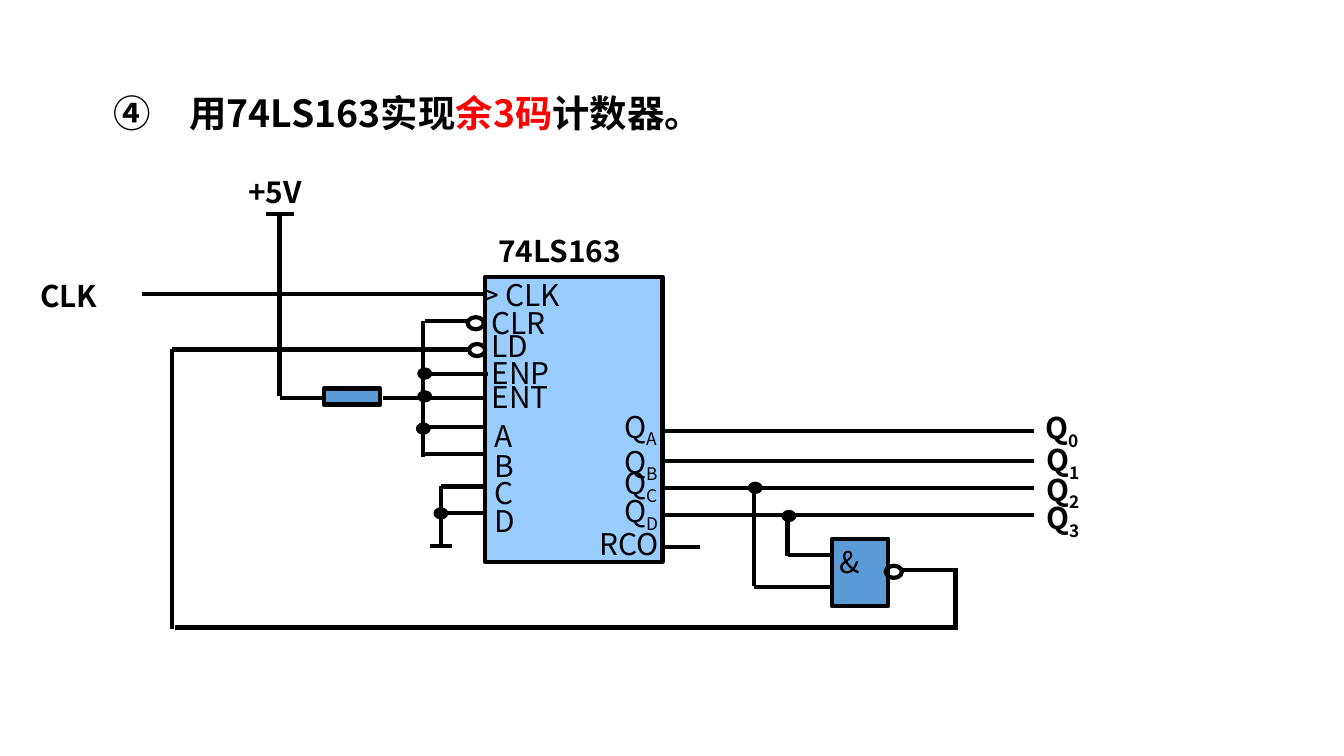
from lxml import etree
from pptx import Presentation
from pptx.dml.color import RGBColor
from pptx.enum.shapes import MSO_CONNECTOR, MSO_SHAPE
from pptx.oxml.ns import qn
from pptx.util import Pt

PX = 9144  # 100 px to the inch
SLIDE_WIDTH = 1000
RECT, OVAL = MSO_SHAPE.RECTANGLE, MSO_SHAPE.OVAL
STRAIGHT = MSO_CONNECTOR.STRAIGHT
COLORS = {"ink": "000000", "accent": "FF0000", "chip": "99CCFF", "part": "5B9BD5"}
TITLE_FONT, LABEL_FONT = "Noto Sans CJK JP", "Noto Sans CJK SC"
LINE_WIDTH = 2.25

TITLE = [("用74LS163实现", "ink"), ("余3码", "accent"), ("计数器。", "ink")]

# left, top, width, height, fill
BLOCKS = {
    "chip": (361, 206, 132, 212, "chip"),
    "resistor": (241, 289, 42, 12, "part"),
    "nand gate": (619, 401, 42, 50, "part"),
}
BUBBLES = [(348, 236), (349, 256), (659, 421)]
BUBBLE_SIZE = (12, 9)
DOTS = [(312, 292), (312, 275), (311, 316), (324, 379), (558, 360), (583, 381)]
DOT_SIZE = (8, 6)

# left, top, text, subscript
PIN_LABELS = [
    (349, 201, "> CLK", ""), (356, 222, "CLR", ""), (356, 239, "LD", ""),
    (356, 259, "ENP", ""), (356, 277, "ENT", ""),
    (358, 306, "A", ""), (358, 328, "B", ""), (358, 348, "C", ""), (358, 369, "D", ""),
    (455, 299, "Q", "A"), (455, 325, "Q", "B"), (455, 341, "Q", "C"), (455, 362, "Q", "D"),
    (436, 386, "RCO", ""), (615, 400, "&", ""),
]
SIGNAL_LABELS = [
    (361, 168, "74LS163", ""), (20, 202, "CLK", ""), (175, 124, "+5V", ""),
    (768, 300, "Q", "0"), (769, 324, "Q", "1"), (769, 346, "Q", "2"), (769, 367, "Q", "3"),
]

# y, left, right
HORIZONTAL_WIRES = {
    "clock": [(219, 106, 360)],
    "supply": [(159, 198, 219), (296, 208, 241), (296, 285, 362)],
    "pulled high": [(239, 316, 350), (278, 313, 363), (318, 316, 362), (338, 315, 360)],
    "ground": [(362, 328, 362), (382, 328, 362), (406, 320, 336)],
    "outputs": [(y, 495, 769) for y in (321, 343, 363, 383)] + [(407, 495, 521)],
    "gate": [(413, 586, 619), (437, 561, 619), (424, 671, 713)],
    "load feedback": [(467, 130, 713), (260, 128, 349)],
}
# x, top, bottom
VERTICAL_WIRES = [
    (208, 158, 295), (315, 239, 340), (328, 362, 406),
    (586, 383, 414), (561, 363, 436), (711, 424, 468), (128, 260, 468),
]


def rgb(name):
    return RGBColor.from_string(COLORS[name])


def add_outlined(shape_type, left, top, width, height, fill=None):
    shape = page.shapes.add_shape(shape_type, left * PX, top * PX, width * PX, height * PX)
    shape.shadow.inherit = False
    if fill:
        shape.fill.solid()
        shape.fill.fore_color.rgb = rgb(fill)
    else:
        shape.fill.background()
    shape.line.color.rgb = rgb("ink")
    shape.line.width = Pt(LINE_WIDTH)


def add_wire(x1, y1, x2, y2):
    wire = page.shapes.add_connector(STRAIGHT, x1 * PX, y1 * PX, x2 * PX, y2 * PX)
    wire.line.color.rgb = rgb("ink")
    wire.line.width = Pt(LINE_WIDTH)
    etree.SubElement(wire._element.spPr, qn("a:effectLst"))


def add_span(para, text, font_name, size, bold, color="ink"):
    span = para.add_run()
    span.text = text
    span.font.size = Pt(size)
    span.font.bold = bold
    span.font.color.rgb = rgb(color)
    span.font.name = font_name
    etree.SubElement(span.font._element, qn("a:ea"), typeface=font_name)
    return span


def add_text_box(left, top, width, height):
    box = page.shapes.add_textbox(left * PX, top * PX, width * PX, height * PX)
    box.text_frame.word_wrap = True
    return box.text_frame.paragraphs[0]


def add_label(left, top, text, subscript, bold):
    width = 141 if len(text) > 5 else 107 if len(text) > 3 else 75
    para = add_text_box(left, top, width, 37)
    add_span(para, text, LABEL_FONT, 16, bold)
    if subscript:
        span = add_span(para, subscript, LABEL_FONT, 16, bold)
        span.font._element.set("baseline", "-25000")


def add_title():
    para = add_text_box(75, 66, 600, 50)
    para.line_spacing = 0.9
    properties = para._p.get_or_add_pPr()
    properties.set("marL", str(56 * PX))
    properties.set("indent", str(-56 * PX))
    etree.SubElement(properties, qn("a:buFont"), typeface=TITLE_FONT)
    etree.SubElement(properties, qn("a:buAutoNum"), type="circleNumDbPlain", startAt="4")
    for text, color in TITLE:
        add_span(para, text, TITLE_FONT, 20, True, color)


deck = Presentation()
deck.slide_width = SLIDE_WIDTH * PX
deck.slide_height = deck.slide_width * 9 // 16
page = deck.slides.add_slide(deck.slide_layouts[6])

add_title()
for block in BLOCKS.values():
    add_outlined(RECT, *block)
for wires in HORIZONTAL_WIRES.values():
    for y, left, right in wires:
        add_wire(left, y, right, y)
for x, top, bottom in VERTICAL_WIRES:
    add_wire(x, top, x, bottom)
for corner in BUBBLES:
    add_outlined(OVAL, *corner, *BUBBLE_SIZE)
for corner in DOTS:
    add_outlined(OVAL, *corner, *DOT_SIZE, "ink")
for labels, bold in ((PIN_LABELS, False), (SIGNAL_LABELS, True)):
    for label in labels:
        add_label(*label, bold)

deck.save("out.pptx")
